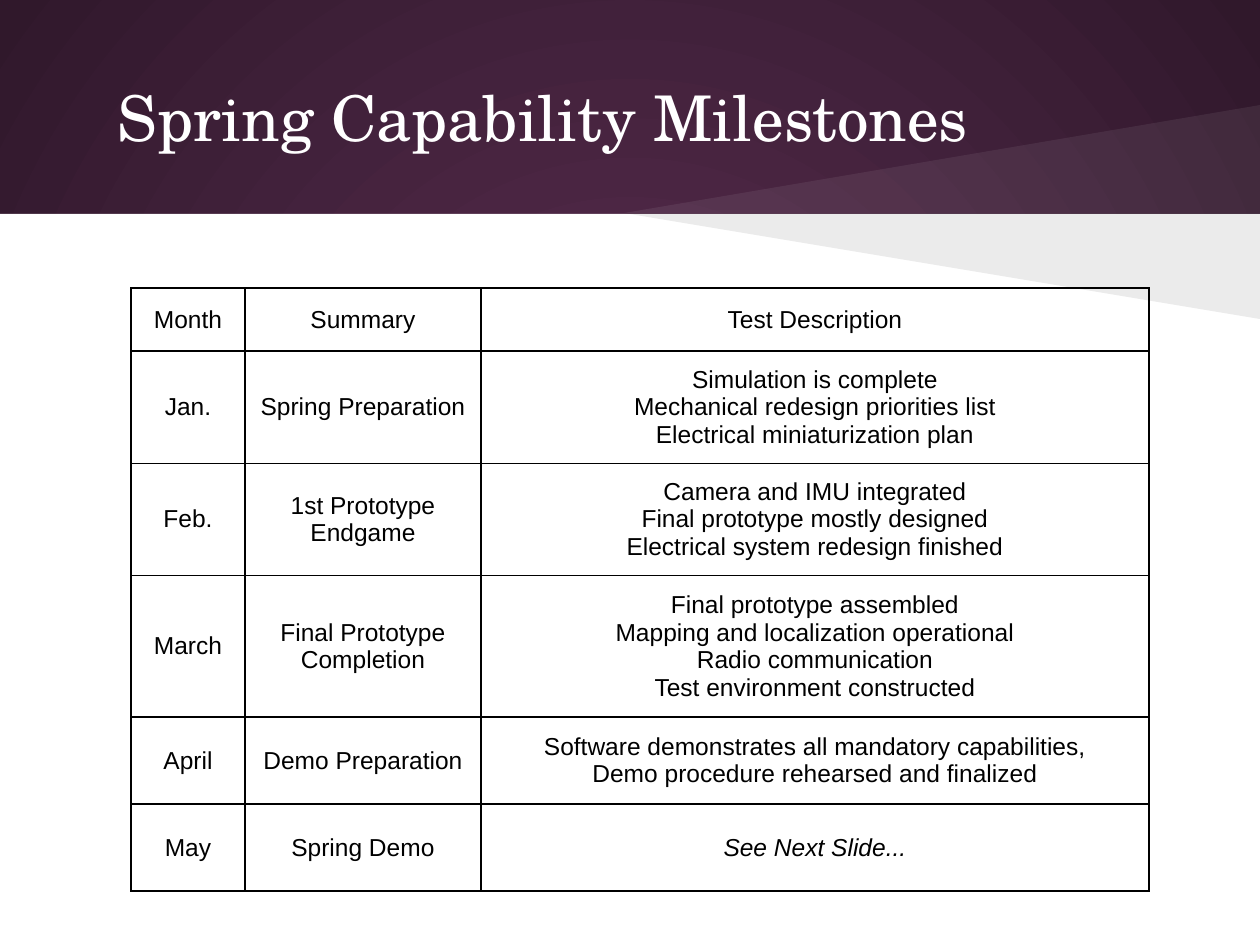
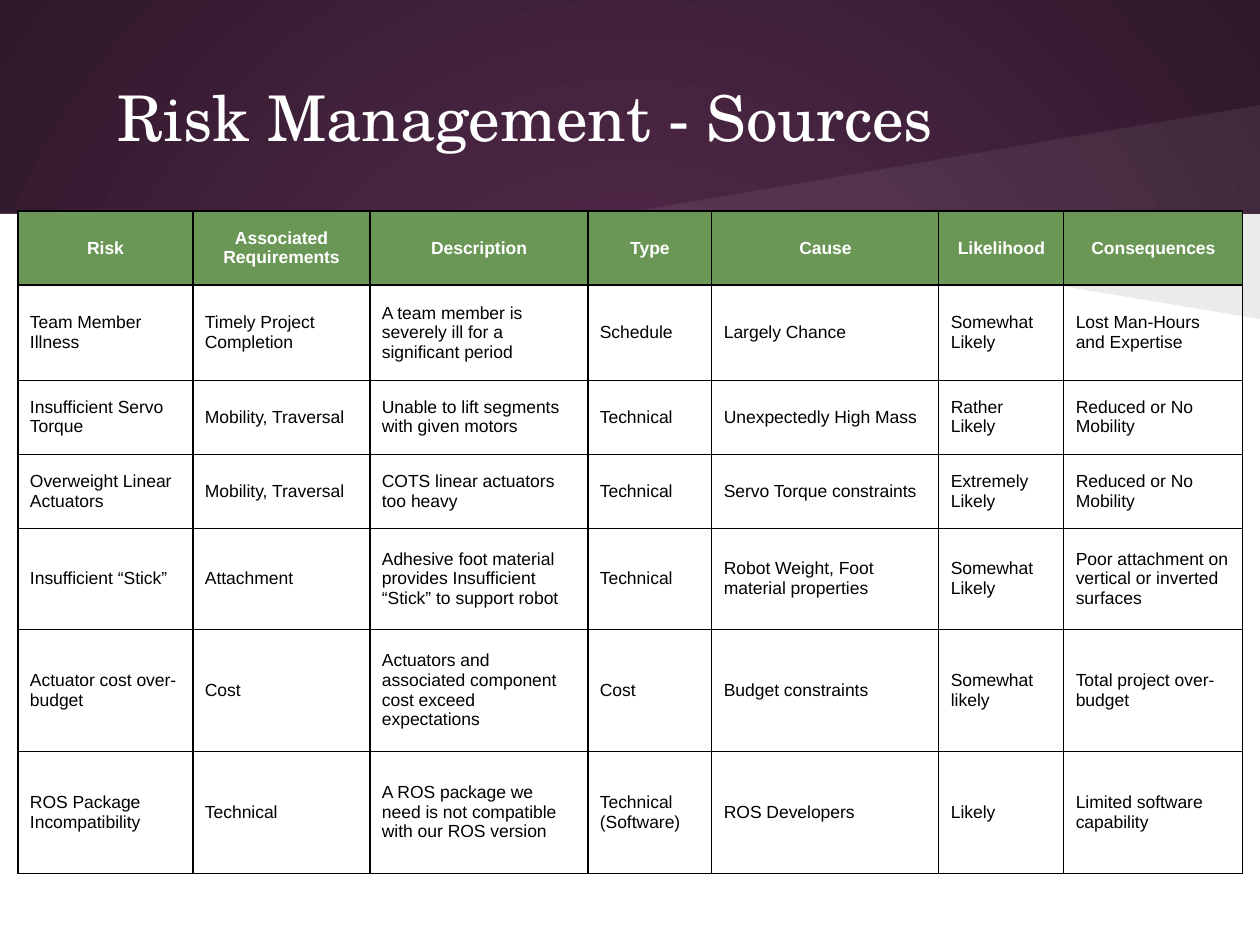
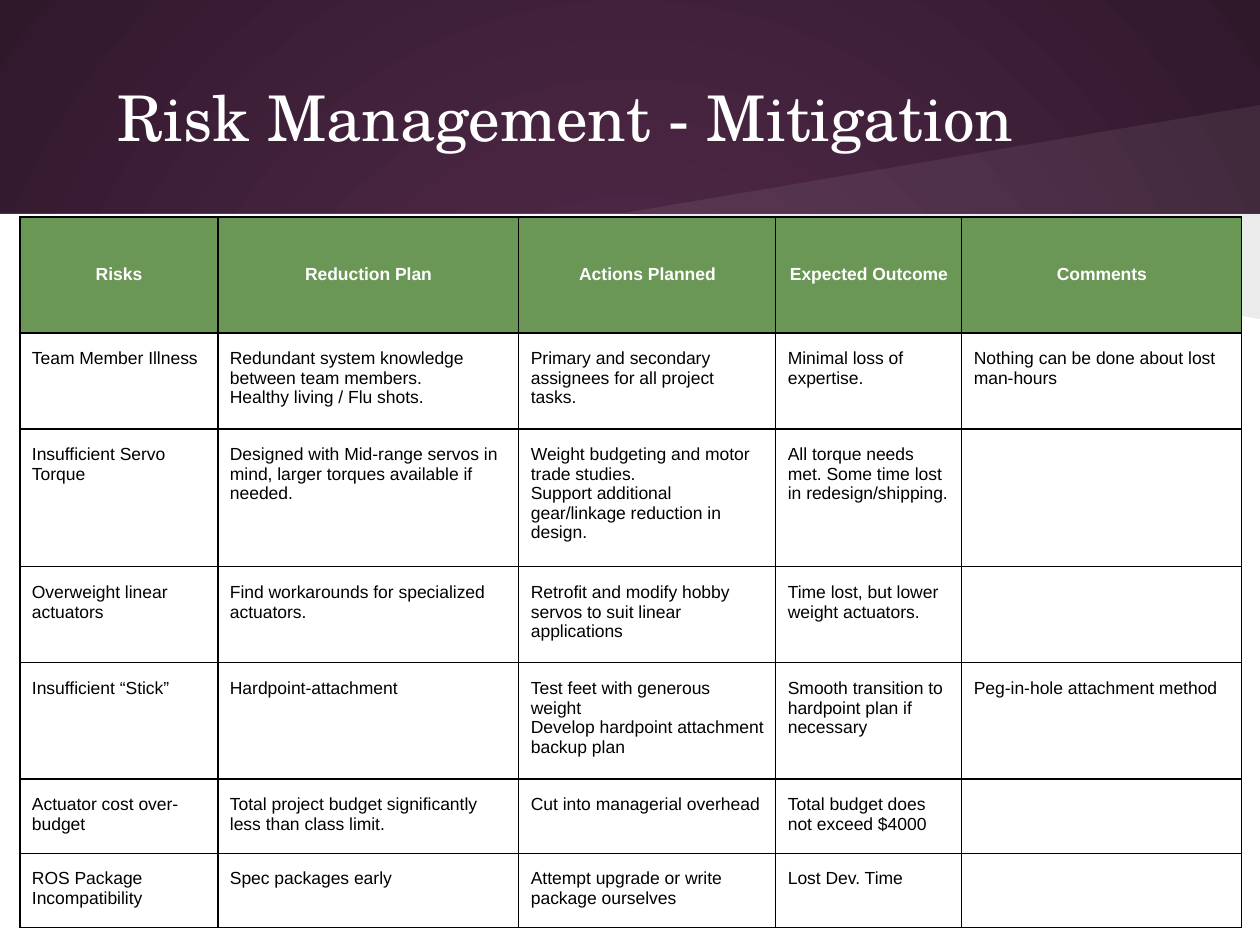
from itertools import product

from lxml.etree import SubElement
from pptx import Presentation
from pptx.dml.color import RGBColor
from pptx.enum.shapes import MSO_SHAPE
from pptx.enum.text import MSO_ANCHOR, PP_ALIGN
from pptx.oxml.ns import qn
from pptx.util import Pt

PAGE_WIDTH, PAGE_HEIGHT = 1260, 945
BAND_BOTTOM = 214
WEDGE_TIP = (624, 213)
# Far corner height, colour and opacity in percent
WEDGES = [(105, "FFFFFF", 7), (319, "000000", 8)]

WHITE, BLACK, GREEN = "FFFFFF", "000000", "6B9756"
GRADIENT = ["592D50", "30182B"]
TITLE_FONT, BODY_FONT = "TeX Gyre Schola", "Arial"

MILESTONES = {
    "title": "Spring Capability Milestones",
    "left": 131, "top": 288,
    "columns": [114, 236, 668],
    "rows": [63, 108, 107, 136, 87, 87],
    "size": 14, "margin": 12, "green_header": False,
    "body_align": PP_ALIGN.CENTER, "body_anchor": MSO_ANCHOR.MIDDLE,
    "italic": ["See Next Slide..."],
    "cells": [
        ["Month", "Summary", "Test Description"],
        ["Jan.", "Spring Preparation",
         "Simulation is complete\nMechanical redesign priorities list\n"
         "Electrical miniaturization plan"],
        ["Feb.", "1st Prototype Endgame",
         "Camera and IMU integrated\nFinal prototype mostly designed\n"
         "Electrical system redesign finished"],
        ["March", "Final Prototype Completion",
         "Final prototype assembled\nMapping and localization operational\n"
         "Radio communication\nTest environment constructed"],
        ["April", "Demo Preparation",
         "Software demonstrates all mandatory capabilities,\n"
         "Demo procedure rehearsed and finalized"],
        ["May", "Spring Demo", "See Next Slide..."],
    ],
}

RISK_STYLE = {
    "size": 10, "margin": 16, "green_header": True,
    "body_align": PP_ALIGN.LEFT, "italic": [],
}

SOURCES = RISK_STYLE | {
    "title": "Risk Management - Sources",
    "left": 18, "top": 211,
    "columns": [175, 177, 218, 124, 227, 125, 179],
    "rows": [72, 92, 73, 73, 101, 122, 122],
    "body_anchor": MSO_ANCHOR.MIDDLE,
    "cells": [
        ["Risk", "Associated Requirements", "Description", "Type", "Cause",
         "Likelihood", "Consequences"],
        ["Team Member Illness", "Timely Project Completion",
         "A team member is severely ill for a significant period", "Schedule",
         "Largely Chance", "Somewhat Likely", "Lost Man-Hours and Expertise"],
        ["Insufficient Servo Torque", "Mobility, Traversal",
         "Unable to lift segments with given motors", "Technical",
         "Unexpectedly High Mass", "Rather Likely", "Reduced or No Mobility"],
        ["Overweight Linear Actuators", "Mobility, Traversal",
         "COTS linear actuators too heavy", "Technical",
         "Servo Torque constraints", "Extremely Likely", "Reduced or No Mobility"],
        ["Insufficient “Stick”", "Attachment",
         "Adhesive foot material provides Insufficient “Stick” to support robot",
         "Technical", "Robot Weight, Foot material properties", "Somewhat Likely",
         "Poor attachment on vertical or inverted surfaces"],
        ["Actuator cost over-budget", "Cost",
         "Actuators and associated component cost exceed expectations", "Cost",
         "Budget constraints", "Somewhat likely", "Total project over-budget"],
        ["ROS Package Incompatibility", "Technical",
         "A ROS package we need is not compatible with our ROS version",
         "Technical (Software)", "ROS Developers", "Likely",
         "Limited software capability"],
    ],
}

MITIGATION = RISK_STYLE | {
    "title": "Risk Management - Mitigation",
    "left": 20, "top": 217,
    "columns": [198, 301, 257, 186, 280],
    "rows": [116, 96, 138, 96, 112, 73, 73],
    "body_anchor": MSO_ANCHOR.TOP,
    "cells": [
        ["Risks", "Reduction Plan", "Actions Planned", "Expected Outcome", "Comments"],
        ["Team Member Illness",
         "Redundant system knowledge between team members.\n"
         "Healthy living / Flu shots.",
         "Primary and secondary assignees for all project tasks.",
         "Minimal loss of expertise.", "Nothing can be done about lost man-hours"],
        ["Insufficient Servo Torque",
         "Designed with Mid-range servos in mind, larger torques available if needed.",
         "Weight budgeting and motor trade studies.\v"
         "Support additional gear/linkage reduction in design.",
         "All torque needs met. Some time lost in redesign/shipping.", ""],
        ["Overweight linear actuators", "Find workarounds for specialized actuators.",
         "Retrofit and modify hobby servos to suit linear applications",
         "Time lost, but lower weight actuators.", ""],
        ["Insufficient “Stick”", "Hardpoint-attachment",
         "Test feet with generous weight\nDevelop hardpoint attachment backup plan",
         "Smooth transition to hardpoint plan if necessary",
         "Peg-in-hole attachment method"],
        ["Actuator cost over-budget",
         "Total project budget significantly less than class limit.",
         "Cut into managerial overhead", "Total budget does not exceed $4000", ""],
        ["ROS Package Incompatibility", "Spec packages early",
         "Attempt upgrade or write package ourselves", "Lost Dev. Time", ""],
    ],
}


def px(length):
    """Turn pixels (126 to the inch) into EMU."""
    return round(length * 914400 / 126)


def color(value):
    return RGBColor.from_string(value)


def style_font(font, name, size, value):
    font.name = name
    font.size = Pt(size)
    font.color.rgb = color(value)


def set_background(master):
    """Give every page the same radial gradient."""
    fill = master.background.fill
    fill.gradient()
    for stop, value in zip(fill.gradient_stops, GRADIENT):
        stop.color.rgb = color(value)
    gradient = master.element.find(".//" + qn("p:bg")).find(".//" + qn("a:gradFill"))
    gradient.remove(gradient.find(qn("a:lin")))
    radial = SubElement(gradient, qn("a:path"), path="circle")
    SubElement(radial, qn("a:fillToRect"), l="50000", t="50000", r="50000", b="50000")


def fill_plain(shape, value, opacity=100):
    shape.shadow.inherit = False
    shape.line.fill.background()
    shape.fill.solid()
    shape.fill.fore_color.rgb = color(value)
    if opacity < 100:
        tint = shape.element.spPr.find(".//" + qn("a:srgbClr"))
        SubElement(tint, qn("a:alpha"), val=str(opacity * 1000))


def add_backdrop(page):
    panel = page.shapes.add_shape(MSO_SHAPE.RECTANGLE, 0, px(BAND_BOTTOM),
                                  px(PAGE_WIDTH), px(PAGE_HEIGHT - BAND_BOTTOM))
    fill_plain(panel, WHITE)
    for corner, value, opacity in WEDGES:
        outline = page.shapes.build_freeform(PAGE_WIDTH, WEDGE_TIP[1], scale=px(1))
        outline.add_line_segments([WEDGE_TIP, (PAGE_WIDTH, corner)])
        fill_plain(outline.convert_to_shape(), value, opacity)


def add_title(page, text):
    box = page.shapes.add_textbox(px(63), px(38), px(1134), px(157))
    frame = box.text_frame
    frame.word_wrap = True
    frame.vertical_anchor = MSO_ANCHOR.MIDDLE
    frame.margin_left = frame.margin_right = px(13)
    frame.margin_top = frame.margin_bottom = px(13)
    frame.text = text
    para = frame.paragraphs[0]
    para._p.get_or_add_pPr().set("indent", str(px(42)))
    style_font(para.runs[0].font, TITLE_FONT, 36, WHITE)


def add_borders(cell):
    properties = cell._tc.get_or_add_tcPr()
    for side in ("lnL", "lnR", "lnT", "lnB"):
        line = SubElement(properties, qn("a:" + side), w=str(Pt(0.75)))
        solid = SubElement(line, qn("a:solidFill"))
        SubElement(solid, qn("a:srgbClr"), val=BLACK)


def format_cell(cell, content, is_header):
    green = is_header and content["green_header"]
    add_borders(cell)
    if green:
        cell.fill.solid()
        cell.fill.fore_color.rgb = color(GREEN)
    else:
        cell.fill.background()
    cell.margin_left = cell.margin_right = px(12)
    cell.margin_top = cell.margin_bottom = px(content["margin"])
    cell.vertical_anchor = MSO_ANCHOR.MIDDLE if is_header else content["body_anchor"]
    for para in cell.text_frame.paragraphs:
        para.alignment = PP_ALIGN.CENTER if is_header else content["body_align"]
        for span in para.runs:
            style_font(span.font, BODY_FONT, content["size"], WHITE if green else BLACK)
            span.font.bold = green
            span.font.italic = span.text in content["italic"]


def add_grid(page, content):
    columns, rows = content["columns"], content["rows"]
    frame = page.shapes.add_table(len(rows), len(columns), px(content["left"]),
                                  px(content["top"]), px(sum(columns)), px(sum(rows)))
    table = frame.table
    table.first_row = table.horz_banding = False
    for column, width in zip(table.columns, columns):
        column.width = px(width)
    for row, height in zip(table.rows, rows):
        row.height = px(height)
    for r, c in product(range(len(rows)), range(len(columns))):
        cell = table.cell(r, c)
        cell.text_frame.text = content["cells"][r][c]
        format_cell(cell, content, r == 0)


def main():
    deck = Presentation()
    deck.slide_width, deck.slide_height = px(PAGE_WIDTH), px(PAGE_HEIGHT)
    set_background(deck.slide_master)
    for content in (MILESTONES, SOURCES, MITIGATION):
        page = deck.slides.add_slide(deck.slide_layouts[6])
        add_backdrop(page)
        add_title(page, content["title"])
        add_grid(page, content)
    deck.save("out.pptx")


if __name__ == "__main__":
    main()
